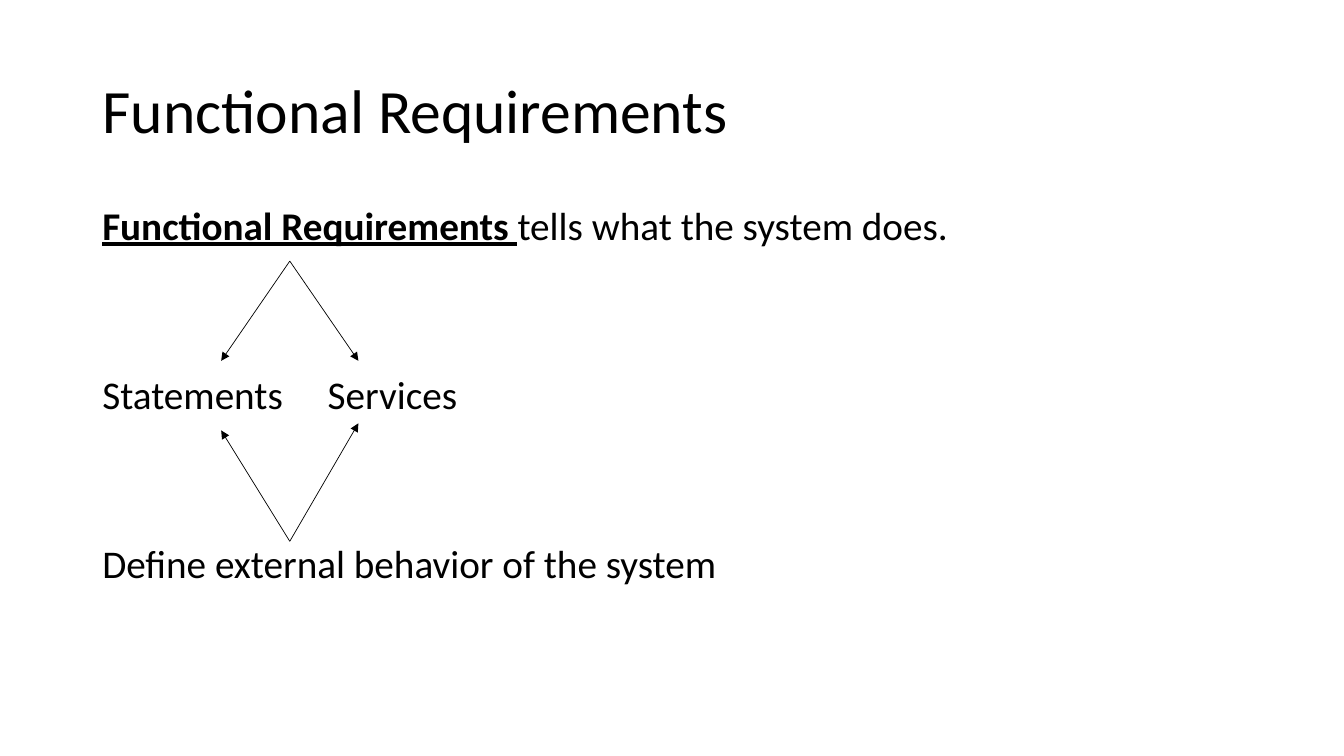
import pptx
import pptx.dml.color
import pptx.enum.shapes
import pptx.enum.text
import pptx.oxml.ns
import pptx.util
from dataclasses import dataclass
from lxml import etree

Pt = pptx.util.Pt


@dataclass(frozen=True)
class Theme:
    font: str = "Calibri"
    ink: str = "000000"
    title_size: float = 44
    body_size: float = 28
    line_width: float = 0.5
    line_spacing: float = 0.9
    first_gap: float = 10
    step_gap: float = 90.5
    services_tab: float = 161


THEME = Theme()
INK = pptx.dml.color.RGBColor.from_string(THEME.ink)


def add_span(para, text, size, strong=False):
    span = para.add_run()
    span.text = text
    span.font.name = THEME.font
    span.font.size = Pt(size)
    span.font.color.rgb = INK
    span.font.bold = strong
    span.font.underline = strong


def add_child(parent, tag, **attributes):
    return etree.SubElement(parent, pptx.oxml.ns.qn(tag), **attributes)


def add_title(page, left, top, width, height):
    box = page.shapes.title
    box.left, box.top, box.width, box.height = map(Pt, (left, top, width, height))
    box.text_frame.vertical_anchor = pptx.enum.text.MSO_ANCHOR.MIDDLE
    para = box.text_frame.paragraphs[0]
    para.alignment = pptx.enum.text.PP_ALIGN.LEFT
    para.line_spacing = THEME.line_spacing
    add_span(para, "Functional Requirements", THEME.title_size)


def add_statements(page, left, top, width, height):
    """Three lines of text, spaced apart to leave room for the arrows."""
    frame = page.shapes.add_textbox(*map(Pt, (left, top, width, height))).text_frame
    frame.word_wrap = True
    lines = [
        [("Functional Requirements ", True), ("tells what the system does.", False)],
        [("Statements\tServices", False)],
        [("Define external behavior of the system", False)],
    ]
    for index, spans in enumerate(lines):
        para = frame.add_paragraph() if index else frame.paragraphs[0]
        para.line_spacing = THEME.line_spacing
        para.space_before = Pt(THEME.step_gap if index else THEME.first_gap)
        for text, strong in spans:
            add_span(para, text, THEME.body_size, strong)
            if "\t" in text:
                tabs = add_child(para._p.get_or_add_pPr(), "a:tabLst")
                add_child(tabs, "a:tab", pos=str(Pt(THEME.services_tab)), algn="l")


def add_arrow_pair(shapes, left, width, start_y, left_y, right_y):
    """Two arrows that part from one point to the left and right edges."""
    start_x = left + width / 2
    for end_x, end_y in ((left, left_y), (left + width, right_y)):
        arrow = shapes.add_connector(
            pptx.enum.shapes.MSO_CONNECTOR.STRAIGHT,
            *map(Pt, (start_x, start_y, end_x, end_y)))
        arrow.line.color.rgb = INK
        arrow.line.width = Pt(THEME.line_width)
        add_child(arrow.line._get_or_add_ln(), "a:tailEnd", type="triangle")
        add_child(arrow._element.spPr, "a:effectLst")


def main():
    deck = pptx.Presentation()
    deck.slide_width, deck.slide_height = Pt(960), Pt(540)
    page = deck.slides.add_slide(deck.slide_layouts[5])
    left, width = 66, 828
    add_title(page, left, 28.75, width, 104.4)
    add_statements(page, left, 144, width, 342.7)
    arrows_left, arrows_width = 158, 98
    upper = page.shapes.add_group_shape()
    add_arrow_pair(upper.shapes, arrows_left, arrows_width, 186.5, 257.75, 257.75)
    add_arrow_pair(page.shapes, arrows_left, arrows_width, 386.65, 307.45, 302.4)
    deck.save("out.pptx")


if __name__ == "__main__":
    main()
